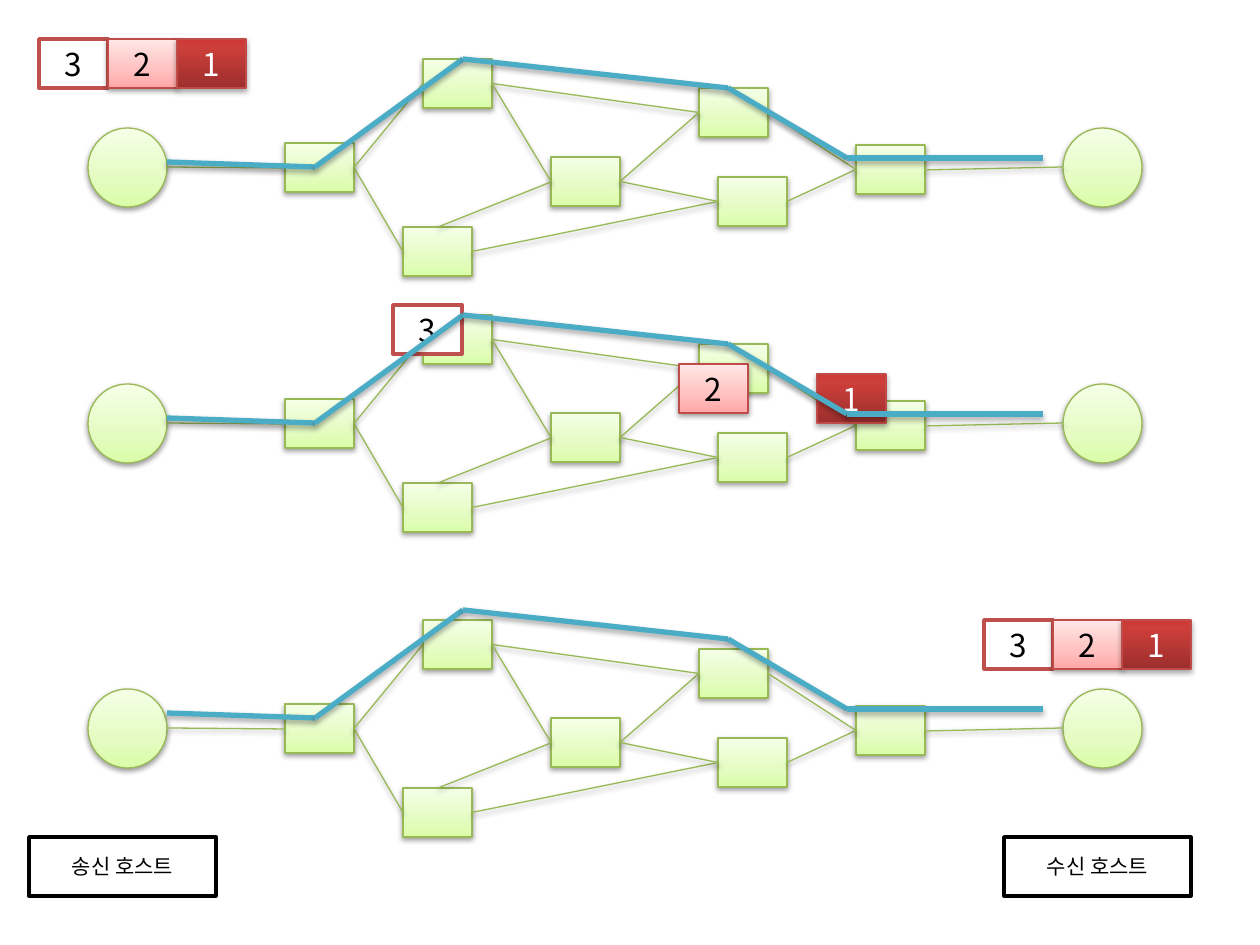
import pptx
import pptx.util
import pptx.dml.color
import pptx.enum.shapes
import pptx.enum.text
import pptx.oxml.ns
from lxml import etree

PX = 914400 / 126
FONT = "Noto Sans CJK KR"
RECT = pptx.enum.shapes.MSO_SHAPE.RECTANGLE
OVAL = pptx.enum.shapes.MSO_SHAPE.OVAL
LINE = pptx.enum.shapes.MSO_CONNECTOR.STRAIGHT
qn = pptx.oxml.ns.qn
color = pptx.dml.color.RGBColor.from_string

hues = {"white": "FFFFFF", "black": "000000", "green": "98B955",
        "red": "C0504D", "rust": "BF4C48", "blue": "4BACC6"}
fades = {
    "node": [(0, "DAFDA7"), (35, "E4FCC2"), (100, "F5FFE7")],
    "pink": [(0, "FFA6A5"), (35, "FFC0BF"), (100, "FFE7E7")],
    "deep": [(0, "9C2F2D"), (80, "CB3E3A"), (100, "CE3B37")],
}
soft = (20000, 38000)
hard = (23000, 35000)

deck = pptx.Presentation()
deck.slide_width = pptx.util.Inches(10)
deck.slide_height = pptx.util.Inches(7.5)
slide = deck.slides.add_slide(deck.slide_layouts[6])


def trim(item, hue, width, shade):
    item.line.color.rgb = color(hues[hue])
    item.line.width = pptx.util.Pt(width)
    fx = etree.SubElement(item._element.spPr, qn("a:effectLst"))
    if shade:
        drop = etree.SubElement(fx, qn("a:outerShdw"), blurRad="40000", dist=str(shade[0]),
                                dir="5400000", rotWithShape="0")
        tint = etree.SubElement(drop, qn("a:srgbClr"), val=hues["black"])
        etree.SubElement(tint, qn("a:alpha"), val=str(shade[1]))


def box(kind, area, fill, edge, width, shade, text="", size=18, ink="black"):
    item = slide.shapes.add_shape(kind, *[round(v * PX) for v in area])
    if fill in fades:
        item.fill.gradient()
        item.fill.gradient_angle = 90
        stops = item._element.spPr.find(qn("a:gradFill")).find(qn("a:gsLst"))
        for stop in list(stops):
            stops.remove(stop)
        for place, tone in fades[fill]:
            stop = etree.SubElement(stops, qn("a:gs"), pos=str(place * 1000))
            etree.SubElement(stop, qn("a:srgbClr"), val=tone)
    else:
        item.fill.solid()
        item.fill.fore_color.rgb = color(hues[fill])
    trim(item, edge, width, shade)
    if text:
        frame = item.text_frame
        frame.vertical_anchor = pptx.enum.text.MSO_ANCHOR.MIDDLE
        para = frame.paragraphs[0]
        para.alignment = pptx.enum.text.PP_ALIGN.CENTER
        run = para.add_run()
        run.text = text
        run.font.size = pptx.util.Pt(size)
        run.font.name = FONT
        run.font.color.rgb = color(hues[ink])
        etree.SubElement(run._r.get_or_add_rPr(), qn("a:ea"), typeface=FONT)


WIDE, HIGH, DISC = 69, 49, 79
hosts = [(88, 128), (1063, 128)]
nodes = {"in": (285, 143), "out": (856, 145), "top": (423, 59), "low": (403, 227),
         "mid": (551, 157), "far": (699, 88), "end": (718, 177)}
pairs = ["in low", "low end", "end out", "far out", "mid far",
         "top far", "in top", "top mid", "mid end"]

links = [((167, 167), (285, 168)), ((925, 170), (1063, 167)), ((438, 227), (551, 182))]
for pair in pairs:
    (ax, ay), (bx, by) = [nodes[name] for name in pair.split()]
    links.append(((ax + WIDE, ay + HIGH / 2), (bx, by + HIGH / 2)))

for drop in (0, 256, 561):
    for x, y in hosts:
        box(OVAL, (x, y + drop, DISC, DISC), "node", "green", 0.75, soft)
    for x, y in nodes.values():
        box(RECT, (x, y + drop, WIDE, HIGH), "node", "green", 0.75, soft)
    for (ax, ay), (bx, by) in links:
        ends = [round(v * PX) for v in (ax, ay + drop, bx, by + drop)]
        trim(slide.shapes.add_connector(LINE, *ends), "green", 0.75, soft)

packs = [("3", "white", "red", 2, None, "black"),
         ("2", "pink", "rust", 0.75, soft, "black"),
         ("1", "deep", "rust", 0.75, hard, "white")]
start = [(39 + WIDE * i, 39) for i in range(3)]
moving = [(393, 305), (679, 364), (817, 374)]
done = [(984 + WIDE * i, 620) for i in range(3)]

for spots in (done, moving, start):
    if spots is start:
        for x, name in ((29, "송신 호스트"), (1004, "수신 호스트")):
            box(RECT, (x, 837, 187, 59), "white", "black", 2, None, name, 12)
        route = [(167, 162), (315, 167), (463, 59), (728, 88), (847, 158), (1043, 158)]
        for drop in (551, 0, 256):
            group = slide.shapes.add_group_shape()
            for (ax, ay), (bx, by) in zip(route, route[1:]):
                ends = [round(v * PX) for v in (ax, ay + drop, bx, by + drop)]
                trim(group.shapes.add_connector(LINE, *ends), "blue", 3, hard)
    for (x, y), (text, fill, edge, width, shade, ink) in zip(spots, packs):
        box(RECT, (x, y, WIDE, HIGH), fill, edge, width, shade, text, 18, ink)

deck.save("out.pptx")
